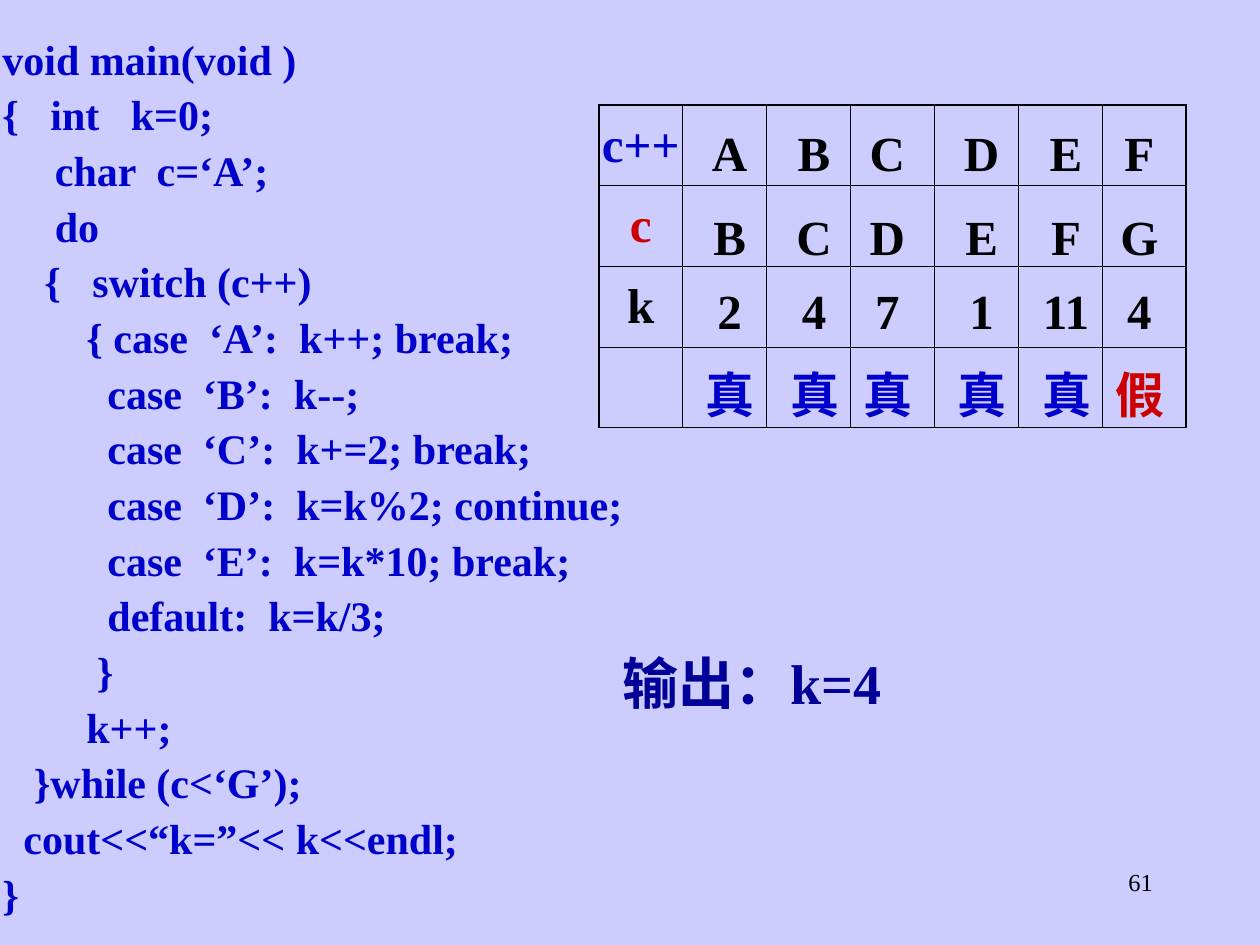
import lxml.etree
import pptx
import pptx.dml.color
import pptx.enum.text
import pptx.oxml.ns
import pptx.util

Cm = pptx.util.Cm
Pt = pptx.util.Pt
RGBColor = pptx.dml.color.RGBColor
Align = pptx.enum.text.PP_ALIGN

LILAC = RGBColor(0xCC, 0xCC, 0xFF)
BLUE = RGBColor(0x00, 0x00, 0xCC)
NAVY = RGBColor(0x00, 0x00, 0x99)
RED = RGBColor(0xCC, 0x00, 0x00)
BLACK = RGBColor(0x00, 0x00, 0x00)

FONT = "Times New Roman"
CODE_SIZE = 24
SPACE_WIDTH = Pt(CODE_SIZE / 4)
TIGHT = {"margin_left": Cm(0.05), "margin_right": Cm(0.05),
         "margin_top": Cm(0.03), "margin_bottom": Cm(0.03)}
FITTED = {**TIGHT, "word_wrap": True,
          "auto_size": pptx.enum.text.MSO_AUTO_SIZE.SHAPE_TO_FIT_TEXT}
VALUE_PARA = {"alignment": Align.CENTER, "line_spacing": 1.1, "space_before": Pt(17.5)}

CODE = [
    (0, "void main(void )"),
    (0, "{   int   k=0;"),
    (5, "char  c=‘A’;"),
    (5, "do"),
    (4, "{   switch (c++)"),
    (8, "{ case  ‘A’:  k++; break;"),
    (10, "case  ‘B’:  k--;"),
    (10, "case  ‘C’:  k+=2; break;"),
    (10, "case  ‘D’:  k=k%2; continue;"),
    (10, "case  ‘E’:  k=k*10; break;"),
    (10, "default:  k=k/3;"),
    (9, "}"),
    (8, "k++;"),
    (3, "}while (c<‘G’);"),
    (2, "cout<<“k=”<< k<<endl;"),
    (0, "}"),
]
TABLE_LABELS = [("c++", BLUE), ("c", RED), ("k", BLACK)]
TABLE_COLUMNS = 7
TABLE_ROWS = 4
VALUE_LEFTS = [14.18, 15.88, 17.36, 19.26, 20.96, 22.44]
VALUE_ROWS = [
    (2.33, ["A", "B", "C", "D", "E", "F"]),
    (4.02, ["B", "C", "D", "E", "F", "G"]),
    (5.5, ["2", "4", "7", "1", "11", "4"]),
    (7.2, ["真", "真", "真", "真", "真", "假"]),
]
VALUE_COLORS = {"真": BLUE, "假": RED}


def apply_format(target, values):
    """Set every attribute named in values on target."""
    for name, value in values.items():
        setattr(target, name, value)


def write_para(para, text, size, color, bold=True, **para_format):
    """Write one formatted span of text into a paragraph."""
    apply_format(para, para_format)
    span = para.add_run()
    span.text = text
    apply_format(span.font, {"name": FONT, "size": Pt(size), "bold": bold})
    span.font.color.rgb = color


def add_box(page, left, top, width, height, frame_format):
    """Add a text box, measured in centimetres, and return its text frame."""
    box = page.shapes.add_textbox(Cm(left), Cm(top), Cm(width), Cm(height))
    apply_format(box.text_frame, frame_format)
    return box.text_frame


def add_code(page):
    """Add the program listing, indented by whole space widths."""
    frame = add_box(page, 0, 0.64, 16.08, 17.91, FITTED)
    for index, (depth, line) in enumerate(CODE):
        para = frame.add_paragraph() if index else frame.paragraphs[0]
        write_para(para, line, CODE_SIZE, BLUE, space_before=Pt(3))
        para._p.get_or_add_pPr().set("marL", str(depth * SPACE_WIDTH))


def set_borders(cell, widths):
    """Draw black cell borders with the given width for each side."""
    properties = cell._tc.get_or_add_tcPr()
    for index, (side, width) in enumerate(widths.items()):
        line = lxml.etree.Element(pptx.oxml.ns.qn("a:ln" + side), w=str(Pt(width)))
        fill = lxml.etree.SubElement(line, pptx.oxml.ns.qn("a:solidFill"))
        lxml.etree.SubElement(fill, pptx.oxml.ns.qn("a:srgbClr"), val=str(BLACK))
        properties.insert(index, line)


def add_trace_table(page):
    """Add the ruled trace table with its label column."""
    table = page.shapes.add_table(TABLE_ROWS, TABLE_COLUMNS, Cm(12.07), Cm(2.12),
                                  Cm(11.85), Cm(6.5)).table
    apply_format(table, {"first_row": False, "horz_banding": False})
    thin, thick = 0.45, 1.08
    for row in range(TABLE_ROWS):
        for column in range(TABLE_COLUMNS):
            cell = table.cell(row, column)
            cell.fill.background()
            outer = {"L": column == 0, "R": column == TABLE_COLUMNS - 1,
                     "T": row == 0, "B": row == TABLE_ROWS - 1}
            set_borders(cell, {side: thick if edge else thin for side, edge in outer.items()})
    for row, (label, color) in enumerate(TABLE_LABELS):
        cell = table.cell(row, 0)
        apply_format(cell, {"margin_left": Cm(0.05), "margin_right": Cm(0.05),
                            "vertical_anchor": pptx.enum.text.MSO_ANCHOR.MIDDLE})
        write_para(cell.text_frame.paragraphs[0], label, 28, color,
                   alignment=Align.CENTER, space_before=Pt(7))


def add_values(page):
    """Add the traced values over the table."""
    for top, values in VALUE_ROWS:
        for left, value in zip(VALUE_LEFTS, values):
            extra = 0.42 * (len(value) - 1)
            frame = add_box(page, left - extra / 2, top, 1.06 + extra, 1.37, FITTED)
            write_para(frame.paragraphs[0], value, 28,
                       VALUE_COLORS.get(value, BLACK), **VALUE_PARA)


def main():
    """Build the slide and save it."""
    deck = pptx.Presentation()
    apply_format(deck, {"slide_width": Cm(25.4), "slide_height": Cm(19.05)})
    page = deck.slides.add_slide(deck.slide_layouts[6])
    page.background.fill.solid()
    page.background.fill.fore_color.rgb = LILAC
    number = add_box(page, 18.21, 17.35, 5.28, 1.27, {"word_wrap": True})
    write_para(number.paragraphs[0], "61", 14, BLACK, bold=False, alignment=Align.RIGHT)
    add_code(page)
    add_trace_table(page)
    output = add_box(page, 12.5, 12.9, 8.26, 1.55, FITTED)
    write_para(output.paragraphs[0], "输出：k=4", 32, NAVY,
               line_spacing=1.1, space_before=Pt(20))
    add_values(page)
    deck.save("out.pptx")


if __name__ == "__main__":
    main()
